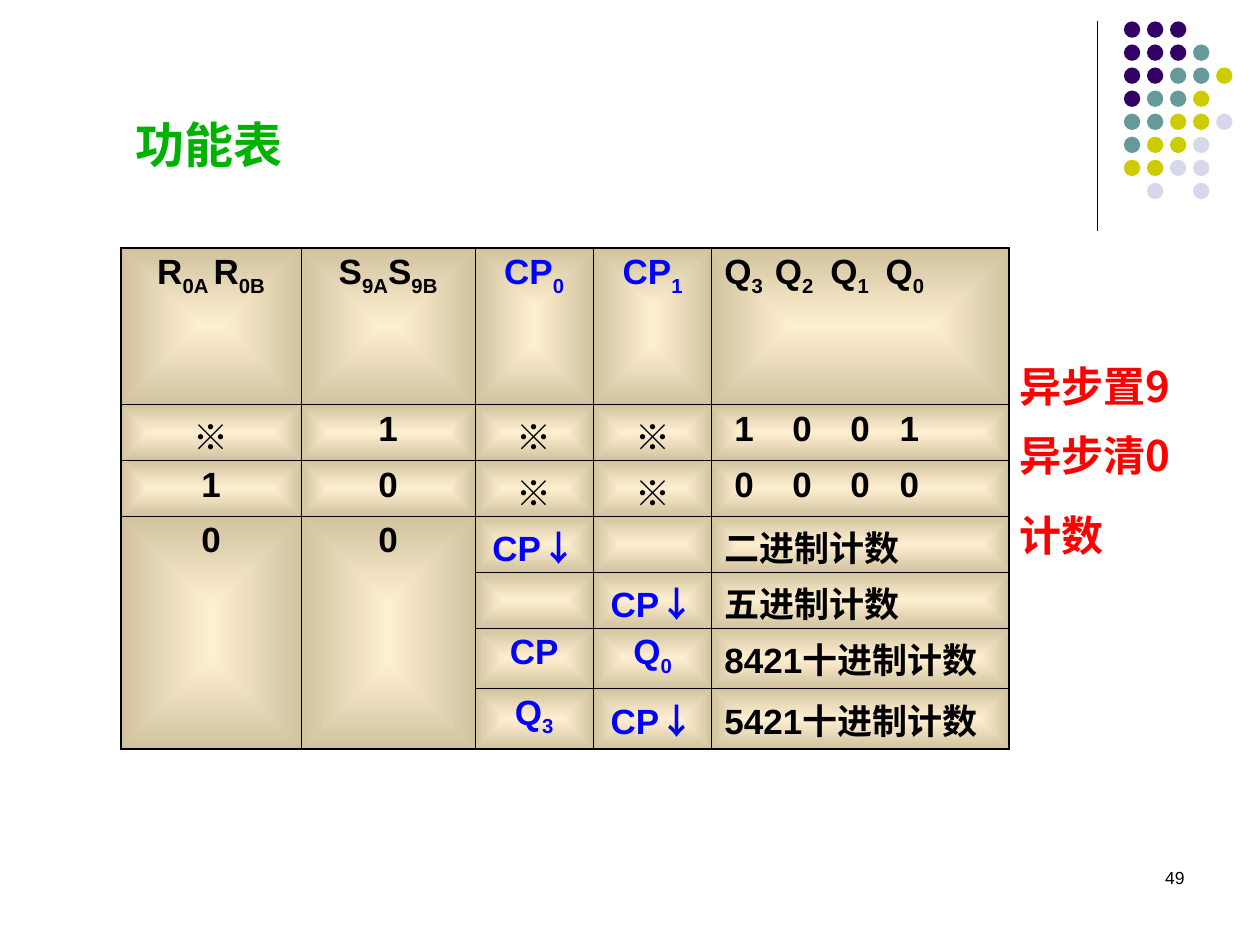
from itertools import groupby

from lxml.etree import SubElement
from pptx import Presentation
from pptx.dml.color import RGBColor
from pptx.enum.shapes import MSO_CONNECTOR, MSO_SHAPE
from pptx.enum.text import PP_ALIGN
from pptx.oxml.ns import qn
from pptx.util import Inches, Pt

LATIN, CJK = "Arial", "Noto Sans CJK SC"
BLACK, BLUE, RED, GREEN = "000000", "0000FF", "FF0000", "00B200"
SYMBOLS = "※↓"

# Table text: parts between ~ alternate between baseline and subscript
ROWS = [
    ["R~0A ~R~0B", "S~9A~S~9B", "CP~0", "CP~1", "Q~3~\tQ~2~\tQ~1~\tQ~0"],
    ["※", "1", "※", "※", "\t1\t0\t0\t1"],
    ["1", "0", "※", "※", "\t0\t0\t0\t0"],
    ["0", "0", "CP↓", "", "二进制计数"],
    ["", "", "", "CP↓", "五进制计数"],
    ["", "", "CP", "Q~0", "8421十进制计数"],
    ["", "", "Q~3", "CP↓", "5421十进制计数"],
]
COLUMN_WIDTHS = [1.43, 1.38, 0.94, 0.94, 2.36]
ROW_HEIGHTS = [1.24, 0.44, 0.44, 0.44, 0.44, 0.48, 0.48]
HEADER_TABS = [0.4, 0.84, 1.28]
DIGIT_TABS = [0.08, 0.54, 1.0, 1.39]
GRADIENT = [(0, "FFEFD1"), (100000, "D1C39F")]

# Text, left, top, width, height, size, colour, latin font, top inset, alignment
LABELS = [
    ("49", 7.17, 6.83, 2.33, 0.5, 10, BLACK, LATIN, 0.05, PP_ALIGN.RIGHT),
    ("功能表", 0.98, 0.91, 2.12, 0.57, 28, GREEN, CJK, 0, PP_ALIGN.LEFT),
    ("异步置9", 7.99, 2.86, 1.57, 0.5, 24, RED, CJK, 0, PP_ALIGN.LEFT),
    ("异步清0", 7.99, 3.41, 1.65, 0.5, 24, RED, CJK, 0, PP_ALIGN.LEFT),
    ("计数", 7.99, 4.04, 1.1, 0.5, 24, RED, LATIN, 0, PP_ALIGN.LEFT),
]

# Corner dots: one letter per dot, a point for a gap
DOT_COLOURS = {"P": "330066", "T": "669999", "Y": "CCCC00", "L": "D8D8EC"}
DOT_ROWS = ["PPP", "PPPT", "PPTTY", "PTTY", "TTYYL", "TYYL", "YYLL", ".L.L"]
DOT_LEFT, DOT_TOP, DOT_STEP, DOT_SIZE = 8.92, 0.17, 0.183, 0.13


def colour(value):
    return RGBColor.from_string(value)


def style(span, size, value, font, bold=True):
    span.font.size = Pt(size)
    span.font.bold = bold
    span.font.color.rgb = colour(value)
    span.font.name = font
    SubElement(span.font._element, qn("a:ea"), typeface=CJK)


def add_label(page, text, left, top, width, height, size, value, font, inset, align):
    box = page.shapes.add_textbox(*map(Inches, (left, top, width, height)))
    frame = box.text_frame
    frame.word_wrap = True
    frame.margin_top = Inches(inset)
    frame.text = text
    para = frame.paragraphs[0]
    para.alignment = align
    style(para.runs[0], size, value, font, bold=size > 10)


def add_dots(page):
    for row, letters in enumerate(DOT_ROWS):
        for column, letter in enumerate(letters):
            if letter == ".":
                continue
            dot = page.shapes.add_shape(
                MSO_SHAPE.OVAL,
                Inches(DOT_LEFT + column * DOT_STEP), Inches(DOT_TOP + row * DOT_STEP),
                Inches(DOT_SIZE), Inches(DOT_SIZE))
            dot.shadow.inherit = False
            dot.fill.solid()
            dot.fill.fore_color.rgb = colour(DOT_COLOURS[letter])
            dot.line.fill.background()


def paint_cell(cell, outer):
    """Borders (heavier on the outer sides), then the rectangular gradient."""
    props = cell._tc.get_or_add_tcPr()
    for side in "LRTB":
        width = Pt(1.08 if side in outer else 0.45)
        line = SubElement(props, qn("a:ln" + side), w=str(width))
        SubElement(SubElement(line, qn("a:solidFill")), qn("a:srgbClr"), val=BLACK)
    fill = SubElement(props, qn("a:gradFill"), rotWithShape="1")
    stops = SubElement(fill, qn("a:gsLst"))
    for position, value in GRADIENT:
        stop = SubElement(stops, qn("a:gs"), pos=str(position))
        SubElement(stop, qn("a:srgbClr"), val=value)
    shade = SubElement(fill, qn("a:path"), path="rect")
    SubElement(shade, qn("a:fillToRect"), l="50000", t="50000", r="50000", b="50000")


def write_cell(cell, text, value, align, tabs):
    cell.margin_top, cell.margin_bottom = Inches(0.04), 0
    para = cell.text_frame.paragraphs[0]
    para.alignment = align
    if tabs:
        tab_list = SubElement(para._p.get_or_add_pPr(), qn("a:tabLst"))
        for tab in tabs:
            SubElement(tab_list, qn("a:tab"), pos=str(Inches(tab)), algn="l")
    for index, part in enumerate(text.split("~")):
        for symbolic, letters in groupby(part, lambda letter: letter in SYMBOLS):
            span = para.add_run()
            span.text = "".join(letters)
            style(span, 20, BLACK if span.text == "※" else value,
                  CJK if symbolic else LATIN)
            if index % 2:
                span.font._element.set("baseline", "-25000")


def add_function_table(page):
    row_count, column_count = len(ROWS), len(COLUMN_WIDTHS)
    frame = page.shapes.add_table(
        row_count, column_count, Inches(0.96), Inches(1.97),
        Inches(sum(COLUMN_WIDTHS)), Inches(sum(ROW_HEIGHTS)))
    table = frame.table
    table.first_row = table.horz_banding = False
    for column, width in zip(table.columns, COLUMN_WIDTHS):
        column.width = Inches(width)
    for row, height in zip(table.rows, ROW_HEIGHTS):
        row.height = Inches(height)
    for column in (0, 1):
        table.cell(3, column).merge(table.cell(row_count - 1, column))

    for r, texts in enumerate(ROWS):
        for c, text in enumerate(texts):
            cell = table.cell(r, c)
            last_column = c == column_count - 1
            bottom = r + (cell.span_height if cell.is_merge_origin else 1)
            edges = {"L": c == 0, "R": last_column, "T": r == 0, "B": bottom == row_count}
            paint_cell(cell, [side for side, is_outer in edges.items() if is_outer])
            tabs = (HEADER_TABS if r == 0 else DIGIT_TABS) if "\t" in text else []
            write_cell(cell, text, BLUE if c in (2, 3) else BLACK,
                       PP_ALIGN.LEFT if last_column else PP_ALIGN.CENTER, tabs)


def main():
    deck = Presentation()
    deck.slide_width, deck.slide_height = Inches(10), Inches(7.5)
    page = deck.slides.add_slide(deck.slide_layouts[6])

    # Corner decoration
    rule = page.shapes.add_connector(
        MSO_CONNECTOR.STRAIGHT, Inches(8.71), Inches(0.17), Inches(8.71), Inches(1.83))
    rule.line.color.rgb = colour(BLACK)
    rule.line.width = Pt(0.75)
    SubElement(rule._element.spPr, qn("a:effectLst"))
    add_dots(page)

    # Function table and labels
    add_function_table(page)
    for label in LABELS:
        add_label(page, *label)

    deck.save("out.pptx")


if __name__ == "__main__":
    main()
